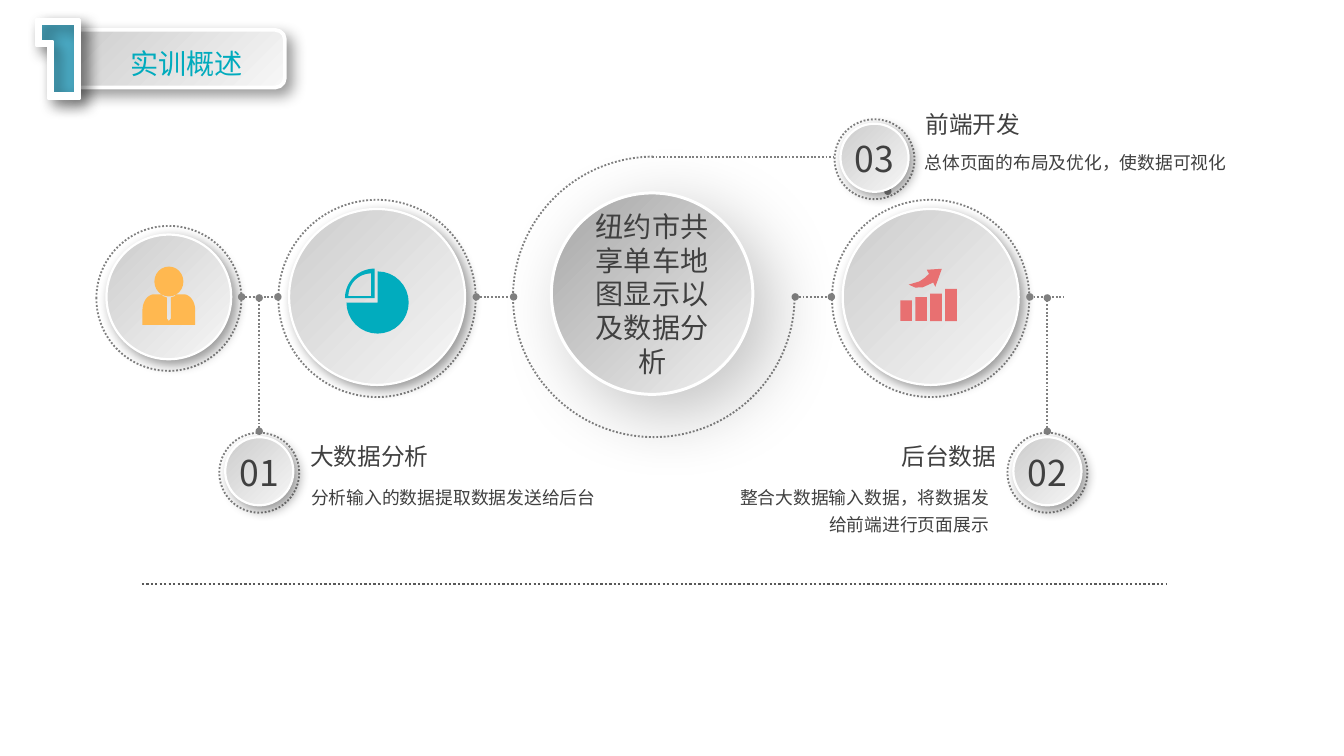
from math import cos, radians, sin

from lxml import etree
from pptx import Presentation
from pptx.dml.color import RGBColor
from pptx.enum.dml import MSO_LINE
from pptx.enum.shapes import MSO_CONNECTOR, MSO_SHAPE
from pptx.enum.text import MSO_ANCHOR, PP_ALIGN as Align
from pptx.oxml.ns import qn
from pptx.util import Pt

FONT = "Noto Sans CJK SC"
WHITE = RGBColor(0xFF, 0xFF, 0xFF)
INK = RGBColor(0x40, 0x40, 0x40)
GREY = RGBColor(0x80, 0x80, 0x80)
RULE = RGBColor(0x59, 0x59, 0x59)
TITLE_TEAL = RGBColor(0x01, 0xAB, 0xBD)
NUMERAL_BLUE = RGBColor(0x4B, 0xAC, 0xC6)
AMBER = RGBColor(0xFF, 0xB8, 0x50)
TEAL = RGBColor(0x01, 0xAC, 0xBE)
CORAL = RGBColor(0xE8, 0x70, 0x71)
SILVER = (RGBColor(0xCC, 0xCC, 0xCC), RGBColor(0xF7, 0xF7, 0xF7))
STEEL = (RGBColor(0xA6, 0xA6, 0xA6), RGBColor(0xF2, 0xF2, 0xF2))
AXIS = 200.5


def style(shape, fill=None, line=None, width=1.5, dotted=False):
    """Fill may be one colour, a pair of gradient colours, or None."""
    shape.shadow.inherit = False
    if fill is None:
        shape.fill.background()
    elif isinstance(fill, RGBColor):
        shape.fill.solid()
        shape.fill.fore_color.rgb = fill
    else:
        shape.fill.gradient()
        shape.fill.gradient_angle = 315
        for stop, color in zip(shape.fill.gradient_stops, fill):
            stop.color.rgb = color
    if line is None:
        shape.line.fill.background()
    else:
        shape.line.color.rgb = line
        shape.line.width = Pt(width)
        if dotted:
            shape.line.dash_style = MSO_LINE.ROUND_DOT
    return shape


def cast_shadow(shape, blur, distance, opacity=40):
    effects = shape._element.spPr.find(qn("a:effectLst"))
    outer = etree.SubElement(effects, qn("a:outerShdw"), blurRad=str(Pt(blur)),
                             dist=str(Pt(distance)), dir="2700000",
                             algn="tl", rotWithShape="0")
    black = etree.SubElement(outer, qn("a:srgbClr"), val="000000")
    etree.SubElement(black, qn("a:alpha"), val=str(opacity * 1000))


def preset(slide, kind, left, top, width, height):
    return slide.shapes.add_shape(kind, Pt(left), Pt(top), Pt(width), Pt(height))


def circle(slide, cx, cy, size):
    return preset(slide, MSO_SHAPE.OVAL, cx - size / 2, cy - size / 2, size, size)


def outline(slide, *contours, cx=0, cy=0):
    """Closed freeform; contour points are relative to (cx, cy)."""
    contours = [[(Pt(cx + x), Pt(cy + y)) for x, y in c] for c in contours]
    builder = slide.shapes.build_freeform(*contours[0][0])
    for index, (start, *rest) in enumerate(contours):
        if index:
            builder.move_to(*start)
        builder.add_line_segments(rest, close=True)
    return builder.convert_to_shape()


def arc_points(cx, cy, rx, ry, start, end, steps=24):
    angles = [radians(start + (end - start) * i / steps) for i in range(steps + 1)]
    return [(cx + rx * cos(a), cy + ry * sin(a)) for a in angles]


def dotted_line(slide, x1, y1, x2, y2, color=GREY, width=1.25):
    line = slide.shapes.add_connector(MSO_CONNECTOR.STRAIGHT,
                                      Pt(x1), Pt(y1), Pt(x2), Pt(y2))
    line.line.color.rgb = color
    line.line.width = Pt(width)
    line.line.dash_style = MSO_LINE.ROUND_DOT
    etree.SubElement(line._element.spPr, qn("a:effectLst"))


def write(shape, text, size, color=INK, align=Align.LEFT, spacing=None):
    frame = shape.text_frame
    frame.word_wrap = True
    frame.text = text
    paragraph = frame.paragraphs[0]
    paragraph.alignment = align
    if spacing:
        paragraph.line_spacing = spacing
    run = paragraph.runs[0]
    run.font.size = Pt(size)
    run.font.color.rgb = color
    run.font.name = FONT
    etree.SubElement(run._r.get_or_add_rPr(), qn("a:ea"), typeface=FONT)


def text_box(slide, left, top, width, height, *content, **layout):
    box = slide.shapes.add_textbox(Pt(left), Pt(top), Pt(width), Pt(height))
    write(box, *content, **layout)


def dot(slide, x, y):
    style(circle(slide, x, y, 5), GREY)


def node(slide, cx, cy, ring, disc):
    style(circle(slide, cx, cy + 1, ring), None, GREY, 1.25, dotted=True)
    cast_shadow(style(circle(slide, cx, cy, disc), SILVER, WHITE), 8, 4)


def number_node(slide, cx, cy, number):
    node(slide, cx, cy, 54, 46)
    text_box(slide, cx - 22.7, cy - 17.5, 45.4, 36, number, 24, align=Align.CENTER)


def person_icon(slide, cx, cy):
    style(preset(slide, MSO_SHAPE.OVAL, cx - 9.8, cy - 20.5, 19.6, 20.2), AMBER)
    left_half = [(0, 16.2), (-1.3, 14.7), (-1.3, 0.4), (-3.9, -0.5), (-5, -1.8),
                 *arc_points(-9.8, 9, 8, 10.8, 270, 180), (-17.8, 18.8)]
    right_half = [(-x, y) for x, y in reversed(left_half)]
    style(outline(slide, left_half + right_half, cx=cx, cy=cy), AMBER)


def pie_icon(slide, cx, cy):
    pie = arc_points(0.4, 3.8, 21, 21, -90, 180) + [(0.4, 3.8)]
    rim = arc_points(-1.6, 0.9, 20, 20, 180, 270) + [(-1.6, 0.9)]
    hole = arc_points(-4, -0.5, 15.3, 15.3, 270, 180) + [(-4, -0.5)]
    style(outline(slide, pie, cx=cx, cy=cy), TEAL)
    style(outline(slide, rim, hole, cx=cx, cy=cy), TEAL)


def growth_icon(slide, cx, cy):
    for index, height in enumerate((13.9, 16.1, 18.5, 21.8)):
        style(preset(slide, MSO_SHAPE.RECTANGLE, cx - 20.5 + index * 10.1,
                     cy + 16.3 - height, 7.9, height), CORAL)
    arrow = [(-1.1, -15.5), (-4, -12.8), (-7.6, -10.4), (-14.8, -8.3),
             (-10.4, -6.3), (-5.4, -6.4), (1.8, -9.7), (3.2, -6.8),
             (7.6, -19), (-2.5, -18.3)]
    style(outline(slide, arrow, cx=cx, cy=cy), CORAL)


def chain(slide):
    """The icon circles along the axis and the dotted links between them."""
    for cx, ring, disc, icon in ((114, 97.9, 84.2, person_icon),
                                 (254.5, 133.2, 118.8, pie_icon),
                                 (628.2, 133.2, 118.8, growth_icon)):
        node(slide, cx, AXIS, ring, disc)
        icon(slide, cx, AXIS)
    for start, end in ((163.1, 187.6), (321.5, 346.7), (536.8, 561.2)):
        dotted_line(slide, start, AXIS, end, AXIS)
        dot(slide, start, AXIS)
        dot(slide, end, AXIS)
    dot(slide, 695.2, AXIS)
    dotted_line(slide, 695.2, AXIS, 717.8, AXIS)


def branch_down(slide, x, number):
    dot(slide, x, AXIS + 0.7)
    dotted_line(slide, x, AXIS + 2.5, x, 291.5)
    dot(slide, x, 291.2)
    number_node(slide, x, 318.2, number)


def branch_up(slide, left, top, number):
    """Loop round the centre that runs on to its number at the upper right."""
    loop = style(preset(slide, MSO_SHAPE.ARC, left, top, 190, 189.4),
                 None, GREY, 1.25, dotted=True)
    loop.adjustments[0], loop.adjustments[1] = 0.49, 162.16
    dotted_line(slide, left + 93.7, top, left + 216, top)
    dot(slide, left + 253, top + 23.4)
    number_node(slide, left + 244, top + 0.7, number)


def label(slide, left, top, heading, detail, detail_left, detail_width, align):
    text_box(slide, left, top, 136, 27, heading, 16, align=align)
    detail_align = Align.RIGHT if align == Align.RIGHT else Align.JUSTIFY
    text_box(slide, detail_left, top + 26 * (top > 100) + 23.7 * (top <= 100),
             detail_width, 44.6, detail, 12, align=detail_align, spacing=1.3)


def centre(slide, left, top, size):
    disc = style(preset(slide, MSO_SHAPE.OVAL, left, top, size, size), STEEL, WHITE, 2)
    cast_shadow(disc, 49, 17, 24)
    disc.text_frame.vertical_anchor = MSO_ANCHOR.MIDDLE
    write(disc, "纽约市共享单车地图显示以及数据分析", 19, align=Align.CENTER)


def numeral_one(grow):
    left, stem, right = 27.4 - grow, 35.3 - grow, 51.1 + grow
    top, step, bottom = 15.8 - grow, 28.1 + grow, 63.4 + grow
    return [(right, top), (right, bottom), (stem, bottom),
            (stem, step), (left, step), (left, top)]


def badge(slide, left, top, width, height):
    plate = preset(slide, MSO_SHAPE.ROUNDED_RECTANGLE, left, top, width, height)
    numeral = outline(slide, numeral_one(1.3))
    frame = outline(slide, numeral_one(2.6), numeral_one(0))
    for part, fill in ((plate, SILVER), (numeral, NUMERAL_BLUE), (frame, WHITE)):
        cast_shadow(style(part, fill, WHITE, 2.5), 10, 6)
    title = slide.shapes.title
    title.left, title.top = Pt(left + 38.8), Pt(top + 7.2)
    title.width, title.height = Pt(width), Pt(30.2)
    title.text_frame.vertical_anchor = MSO_ANCHOR.TOP
    write(title, "实训概述", 19, TITLE_TEAL)
    slide.shapes._spTree.append(title._element)


def main():
    prs = Presentation()
    prs.slide_width, prs.slide_height = Pt(907.2), Pt(510.48)
    slide = prs.slides.add_slide(prs.slide_layouts[5])
    dotted_line(slide, 95.8, 394.6, 787, 394.6, RULE, 1.5)
    chain(slide)
    branch_down(slide, 175, "01")
    branch_down(slide, 707, "02")
    branch_up(slide, 346.3, 105.8, "03")
    label(slide, 202.3, 294.5, "大数据分析", "分析输入的数据提取数据发送给后台",
          203, 259, Align.LEFT)
    label(slide, 617.8, 70.6, "前端开发", "总体页面的布局及优化，使数据可视化",
          617, 259, Align.LEFT)
    label(slide, 543.6, 294.5, "后台数据", "整合大数据输入数据，将数据发给前端进行页面展示",
          486.7, 188, Align.RIGHT)
    centre(slide, 372.2, 130.3, 136)
    badge(slide, 41.8, 20.2, 150.5, 38.9)
    prs.save("out.pptx")


if __name__ == "__main__":
    main()
